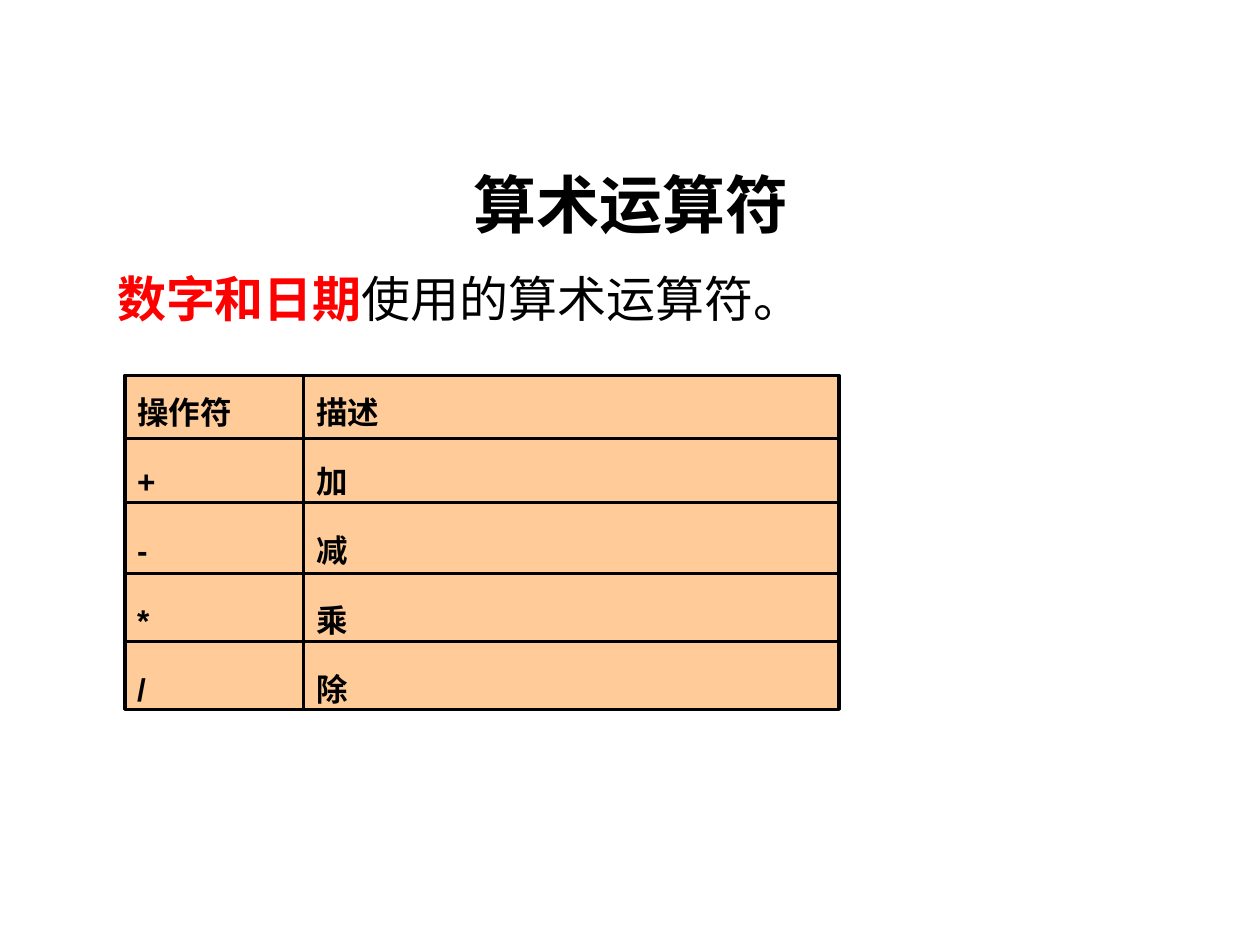
import pptx
import pptx.util
import pptx.dml.color
import pptx.enum.shapes
import pptx.enum.text
import pptx.oxml.ns
from lxml import etree

BLACK = pptx.dml.color.RGBColor(0x00, 0x00, 0x00)
RED = pptx.dml.color.RGBColor(0xFF, 0x00, 0x00)
PEACH = pptx.dml.color.RGBColor(0xFF, 0xCC, 0x99)
CJK = "Noto Sans CJK SC"

TITLE = "算术运算符"
LEAD = [("数字和日期", RED, True), ("使用的算术运算符。", BLACK, False)]
OPERATORS = [("操作符", "描述"), ("+", "加"), ("-", "减"), ("*", "乘"), ("/", "除")]

TITLE_BOX = (0.8, 1.26, 8.42, 1.57)
LEAD_BOX = (0.83, 2.08, 8.42, 0.57)
GRID_LEFT, GRID_TOP = 0.99, 2.98
COLUMNS = [1.42, 4.25]
ROWS = [0.5, 0.51, 0.56, 0.54, 0.54]
RULE, HEADER_RULE = 2, 1.5


def add_text(p, text, size=18, font="Arial", color=BLACK, bold=True):
    r = p.add_run()
    r.text = text
    r.font.size = pptx.util.Pt(size)
    r.font.name = font
    r.font.bold = bold
    r.font.color.rgb = color
    ea = etree.SubElement(r.font._element, pptx.oxml.ns.qn("a:ea"))
    ea.set("typeface", CJK)


def set_frame(tf, top=0.05):
    tf.word_wrap = True
    tf.auto_size = pptx.enum.text.MSO_AUTO_SIZE.NONE
    tf.vertical_anchor = pptx.enum.text.MSO_ANCHOR.TOP
    tf.margin_top = pptx.util.Inches(top)


def set_placeholder(sp, box, align):
    sp.left, sp.top, sp.width, sp.height = map(pptx.util.Inches, box)
    set_frame(sp.text_frame)
    p = sp.text_frame.paragraphs[0]
    p.alignment = align
    p.line_spacing = 1.0
    p.space_before = pptx.util.Pt(0)
    pPr = p._p.get_or_add_pPr()
    pPr.set("marL", "0")
    pPr.set("indent", "0")
    etree.SubElement(pPr, pptx.oxml.ns.qn("a:buNone"))
    return p


def add_column(s, left, width, texts):
    box = (left, GRID_TOP, width, sum(ROWS))
    sp = s.shapes.add_shape(pptx.enum.shapes.MSO_SHAPE.RECTANGLE, *map(pptx.util.Inches, box))
    sp.shadow.inherit = False
    sp.fill.solid()
    sp.fill.fore_color.rgb = PEACH
    sp.line.color.rgb = BLACK
    sp.line.width = pptx.util.Pt(RULE)
    tf = sp.text_frame
    set_frame(tf, top=0.08)
    for i, text in enumerate(texts):
        p = tf.add_paragraph() if i else tf.paragraphs[0]
        p.alignment = pptx.enum.text.PP_ALIGN.LEFT
        p.line_spacing = pptx.util.Pt(26)
        p.space_before = pptx.util.Pt(13.5 if i else 0)
        add_text(p, text)


def add_rule(s, y, weight):
    ends = (GRID_LEFT, y, GRID_LEFT + sum(COLUMNS), y)
    line = s.shapes.add_connector(
        pptx.enum.shapes.MSO_CONNECTOR.STRAIGHT, *map(pptx.util.Inches, ends))
    line.line.color.rgb = BLACK
    line.line.width = pptx.util.Pt(weight)
    etree.SubElement(line._element.spPr, pptx.oxml.ns.qn("a:effectLst"))


def main():
    prs = pptx.Presentation()
    prs.slide_width = pptx.util.Inches(10)
    prs.slide_height = pptx.util.Inches(7.5)
    s = prs.slides.add_slide(prs.slide_layouts[1])

    p = set_placeholder(s.shapes.title, TITLE_BOX, pptx.enum.text.PP_ALIGN.CENTER)
    add_text(p, TITLE, size=36, font=CJK)
    p = set_placeholder(s.placeholders[1], LEAD_BOX, pptx.enum.text.PP_ALIGN.LEFT)
    for text, color, bold in LEAD:
        add_text(p, text, size=28, font=CJK, color=color, bold=bold)

    for i, texts in enumerate(zip(*OPERATORS)):
        add_column(s, GRID_LEFT + sum(COLUMNS[:i]), COLUMNS[i], texts)
    for i in range(1, len(ROWS)):
        add_rule(s, GRID_TOP + sum(ROWS[:i]), HEADER_RULE if i == 1 else RULE)

    prs.save("out.pptx")


if __name__ == "__main__":
    main()
